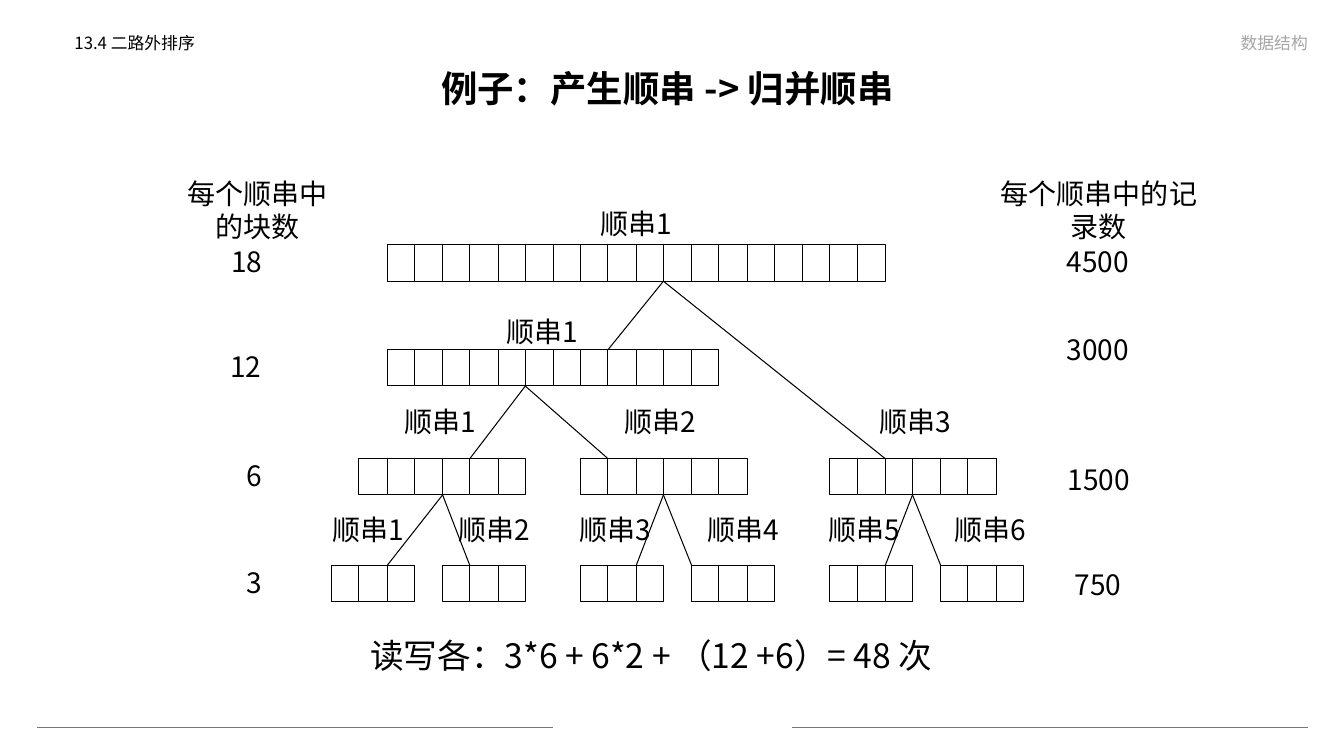
from pptx import Presentation
from pptx.dml.color import RGBColor
from pptx.enum.shapes import MSO_CONNECTOR, MSO_SHAPE
from pptx.enum.text import MSO_ANCHOR, PP_ALIGN
from pptx.oxml.ns import qn
from pptx.util import Pt
from lxml.etree import SubElement

PX = 9144  # 100 px to the inch
FONT = "Noto Sans CJK SC"
BLACK = RGBColor(0x00, 0x00, 0x00)
WHITE = RGBColor(0xFF, 0xFF, 0xFF)
GRAY = RGBColor(0xA6, 0xA6, 0xA6)
TEAL = RGBColor(0x00, 0xAB, 0xA5)

# Tree of runs: row tops, then (first column, block count) in each row
TOPS = [104, 208, 316, 422]
RUNS = [
    [(2, 18)],
    [(2, 12)],
    [(1, 6), (9, 6), (18, 6)],
    [(0, 3), (4, 3), (9, 3), (13, 3), (18, 3), (22, 3)],
]
# (parent row, column, child row, column)
LINKS = [
    (0, 12, 1, 10), (0, 12, 2, 20),
    (1, 7, 2, 5), (1, 7, 2, 10),
    (2, 4, 3, 2), (2, 4, 3, 5),
    (2, 12, 3, 11), (2, 12, 3, 13),
    (2, 21, 3, 20), (2, 21, 3, 22),
]
# (top, lefts of the run names)
NAMES = [
    (66, [247]),
    (173, [154]),
    (262, [53, 271, 524]),
    (369, [-19, 106, 226, 353, 473, 598]),
]


def px(*nums):
    return [round(n * PX) for n in nums]


def add_text(slide, box, words, size, color=BLACK, align=PP_ALIGN.CENTER,
             anchor=MSO_ANCHOR.TOP, bold=False, inset=(0, 0), lead=None):
    frame = slide.shapes.add_textbox(*px(*box)).text_frame
    frame.word_wrap = True
    frame.vertical_anchor = anchor
    frame.margin_left = frame.margin_right = inset[0] * PX
    frame.margin_top = frame.margin_bottom = inset[1] * PX
    frame.text = words
    para = frame.paragraphs[0]
    para.alignment = align
    if lead:
        para.line_spacing = lead
    for run in para.runs:
        font = run.font
        font.name, font.size, font.bold = FONT, Pt(size), bold
        font.color.rgb = color
        SubElement(run._r.get_or_add_rPr(), qn("a:ea"), typeface=FONT)


def add_line(slide, ends, color, width):
    line = slide.shapes.add_connector(MSO_CONNECTOR.STRAIGHT, *px(*ends))
    line.line.color.rgb = color
    line.line.width = Pt(width)
    SubElement(line._element.spPr, qn("a:effectLst"))


def add_head(slide, left, top, width):
    # Section, course and title
    add_text(slide, (left + 30, top + 19, 532, 36), "13.4 二路外排序", 12,
             align=PP_ALIGN.LEFT, inset=(10, 5), lead=0.9)
    add_text(slide, (left + width - 564, top + 11, 564, 35), "数据结构", 12,
             GRAY, PP_ALIGN.RIGHT, MSO_ANCHOR.BOTTOM, inset=(10, 5))
    add_text(slide, (left + 53, top + 51, 1150, 57),
             "例子：产生顺串 -> 归并顺串", 26, anchor=MSO_ANCHOR.MIDDLE,
             bold=True, inset=(10, 5), lead=0.9)


def add_tree(slide, left, top, pitch, high):
    def spot(col):
        return left + round(col * pitch)

    # Blocks
    for y, row in zip(TOPS, RUNS):
        for first, count in row:
            for col in range(first, first + count):
                x = spot(col)
                block = slide.shapes.add_shape(
                    MSO_SHAPE.RECTANGLE,
                    *px(x, top + y, spot(col + 1) - x, high))
                block.shadow.inherit = False
                block.fill.solid()
                block.fill.fore_color.rgb = WHITE
                block.line.color.rgb = BLACK
                block.line.width = Pt(0.75)
    # Merge links
    for row, col, low, end in LINKS:
        add_line(slide, (spot(col), top + TOPS[row] + high,
                         spot(end), top + TOPS[low]), BLACK, 0.75)
    # Run names
    for y, lefts in NAMES:
        for num, x in enumerate(lefts, 1):
            add_text(slide, (left + x, top + y, 110, 36), f"顺串{num}", 20)


def add_counts(slide, left, top, width, title, items):
    add_text(slide, (left, top, width, 40), title, 20)
    for x, y, words in items:
        add_text(slide, (left + x, top + y, 110, 36), words, 20)


def add_foot(slide, left, top, width):
    # Sum of reads and writes, then the two rules
    add_text(slide, (left + 173, top - 92, 872, 39),
             "读写各：3*6 + 6*2 + （12 +6）= 48 次", 24)
    for x in (left, left + width - 511):
        add_line(slide, (x, top, x + 511, top), TEAL, 0.5)


def main():
    deck = Presentation()
    deck.slide_width, deck.slide_height = px(1333, 750)
    slide = deck.slides.add_slide(deck.slide_layouts[6])
    add_head(slide, 34, 11, 1273)
    add_tree(slide, 329, 139, 27.45, 36)
    add_counts(slide, 180, 175, 151, "每个顺串中的块数",
               [(10, 68, "18"), (9, 172, "12"), (17, 280, "6"),
                (17, 386, "3")])
    add_counts(slide, 983, 175, 214, "每个顺串中的记录数",
               [(51, 68, "4500"), (51, 155, "3000"), (52, 284, "1500"),
                (51, 388, "750")])
    add_foot(slide, 37, 722, 1260)
    deck.save("out.pptx")


if __name__ == "__main__":
    main()
